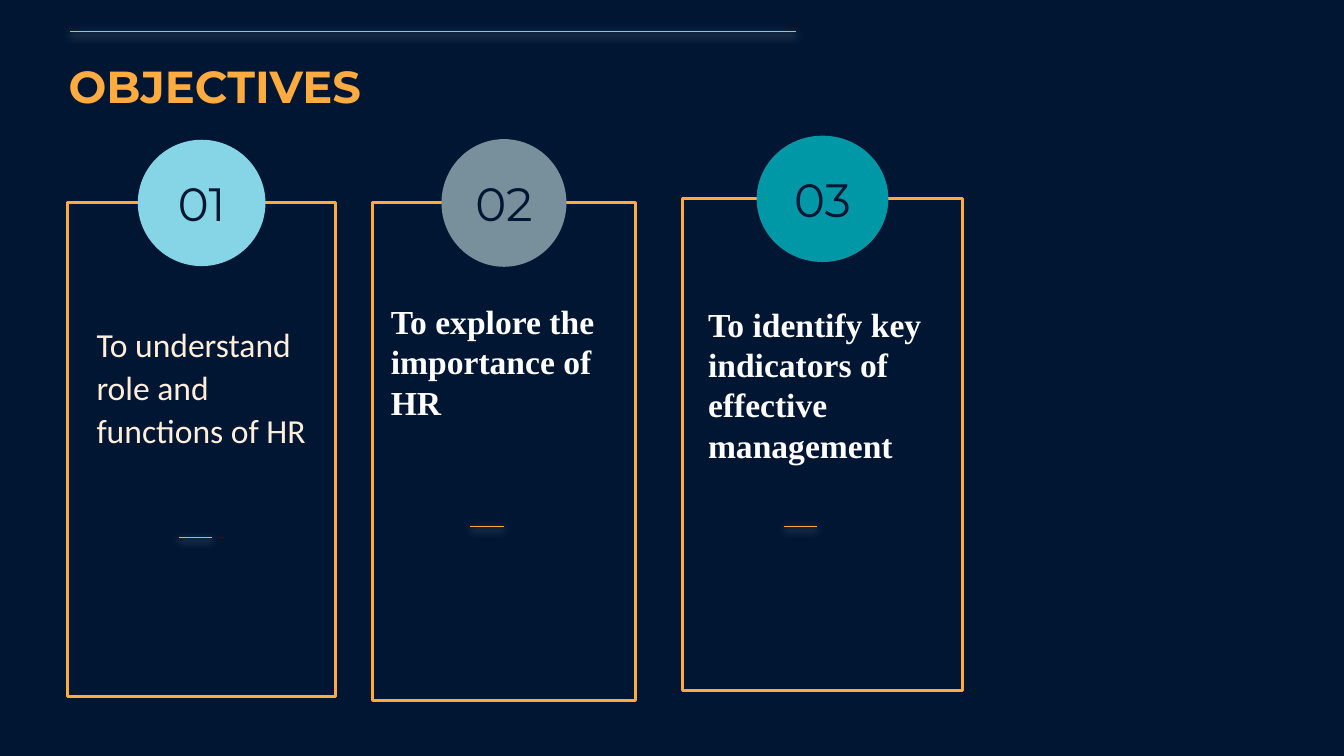
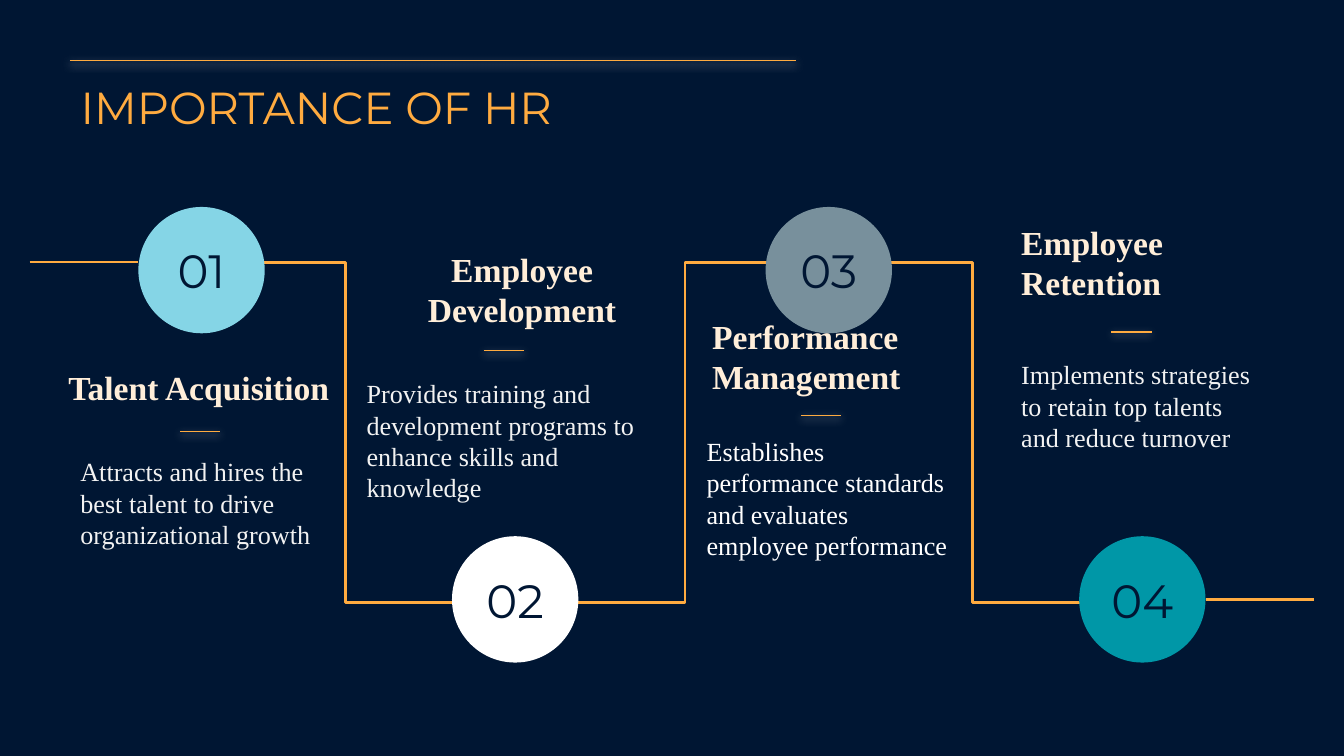
from dataclasses import dataclass
from itertools import pairwise
from typing import NamedTuple

from lxml import etree
from pptx import Presentation, util as u
from pptx.dml.color import RGBColor
from pptx.enum import shapes, text
from pptx.oxml.ns import qn

# The grid has 100 columns and 56.25 rows, all cells square.
CELL = u.Inches(0.1)
COLUMNS, ROWS = 100, 56.25


@dataclass(frozen=True)
class Theme:
    navy: str = "001633"
    orange: str = "FFAB40"
    sky: str = "85D5E6"
    slate: str = "78909C"
    teal: str = "0097A7"
    white: str = "FFFFFF"
    cream: str = "FFEED9"
    pale: str = "F2F2F2"
    display: str = "Montserrat"
    serif: str = "Times New Roman"
    sans: str = "Calibri"
    title_size: float = 24
    number_size: float = 25
    heading_size: float = 18
    body_size: float = 14
    hairline: float = 0.75
    tail_line: float = 1.5
    frame_line: float = 1.6


THEME = Theme()


class Area(NamedTuple):
    """A rectangle in grid cells."""
    left: float
    top: float
    width: float
    height: float


class Style(NamedTuple):
    font: str
    size: float
    color: str
    bold: bool = False


class Rule(NamedTuple):
    """A horizontal line in grid cells."""
    left: float
    top: float
    width: float


class Objective(NamedTuple):
    frame: Area
    disc_size: tuple[float, float]
    disc_color: str
    wording: str
    wording_area: Area
    style: Style
    rule: Rule
    line_spacing: float = 1.0


class Stage(NamedTuple):
    disc_color: str
    heading: str
    heading_area: Area
    detail: str
    detail_area: Area
    rule: Rule
    detail_color: str = THEME.pale
    alignment: text.PP_ALIGN = text.PP_ALIGN.LEFT


NUMBER = Style(THEME.display, THEME.number_size, THEME.navy)
HEADING = Style(THEME.serif, THEME.heading_size, THEME.cream, True)
AIM = HEADING._replace(color=THEME.white)
FIRST_AIM = Style(THEME.sans, THEME.heading_size, THEME.cream)

OBJECTIVES = [
    Objective(Area(5, 15.1, 20, 36.7), (9.5, 9.4), THEME.sky,
              "To understand role and functions of HR",
              Area(6.2, 21.2, 20, 13.3), FIRST_AIM, Rule(13.3, 40, 2.5), 1.07),
    Objective(Area(27.7, 15.1, 19.6, 37), (9.3, 9.5), THEME.slate,
              "To explore the importance of HR",
              Area(28.1, 21.4, 20.1, 11), AIM, Rule(35, 39.2, 2.5)),
    Objective(Area(50.8, 14.8, 20.8, 36.6), (9.8, 9.4), THEME.teal,
              "To identify key indicators of effective management",
              Area(51.7, 26.1, 22, 9.5), AIM, Rule(58.3, 39.2, 2.5)),
]

STAGES = [
    Stage(THEME.sky, "Talent Acquisition", Area(4.1, 24.7, 21.5, 6.6),
          "Attracts and hires the best talent to drive organizational growth",
          Area(5, 32.9, 20, 21.6), Rule(13.4, 32.1, 3)),
    Stage(THEME.white, "Employee Development", Area(27, 17.9, 23.7, 7.6),
          "Provides training and development programs to enhance skills and knowledge",
          Area(26.3, 27.1, 23.7, 12.8), Rule(36, 26.1, 3),
          alignment=text.PP_ALIGN.CENTER),
    Stage(THEME.slate, "Performance Management", Area(52, 23.9, 20, 6.6),
          "Establishes performance standards and evaluates employee performance",
          Area(51.6, 31.4, 20, 20.7), Rule(59.6, 30.9, 3), THEME.white),
    Stage(THEME.teal, "Employee Retention", Area(75, 18.6, 20, 4.9),
          "Implements strategies to retain top talents and reduce turnover",
          Area(75, 25.7, 20, 13.5), Rule(82.7, 24.7, 3)),
]

FIRST_CENTRE, LAST_CENTRE = 15, 85
STAGE_PITCH = (LAST_CENTRE - FIRST_CENTRE) / (len(STAGES) - 1)
STAGE_DISC = 9.4
DISC_LEVELS = (20.1, 44.6)
TRACK_LEVELS = (19.5, 44.8)
ELBOW_OFFSET = 10.7
TRACK_OVERLAP = 0.35
TAIL_MARGIN = 2.2


def cells(*counts: float) -> list[int]:
    return [round(count * CELL) for count in counts]


def rgb(color: str) -> RGBColor:
    return RGBColor.from_string(color)


def write(shape, wording: str, style: Style, alignment=text.PP_ALIGN.LEFT,
          anchor=text.MSO_ANCHOR.TOP, wrap: bool = True) -> None:
    frame = shape.text_frame
    frame.text = wording
    frame.word_wrap = wrap
    frame.auto_size = text.MSO_AUTO_SIZE.NONE
    frame.vertical_anchor = anchor
    frame.margin_left = frame.margin_right = CELL
    frame.margin_top = frame.margin_bottom = CELL
    paragraph = frame.paragraphs[0]
    paragraph.alignment = alignment
    font = paragraph.runs[0].font
    font.name, font.size, font.bold = style.font, u.Pt(style.size), style.bold
    font.color.rgb = rgb(style.color)


def add_words(slide, area: Area, wording: str, style: Style, **layout):
    box = slide.shapes.add_textbox(*cells(*area))
    write(box, wording, style, **layout)
    return box


def outline(shape) -> None:
    """Leave only the orange outline of a shape."""
    shape.shadow.inherit = False
    shape.fill.background()
    shape.line.color.rgb = rgb(THEME.orange)
    shape.line.width = u.Pt(THEME.frame_line)


def add_line(slide, rule: Rule, weight: float = THEME.hairline, glow: bool = True) -> None:
    left, top, right = cells(rule.left, rule.top, rule.left + rule.width)
    line = slide.shapes.add_connector(shapes.MSO_CONNECTOR.STRAIGHT, left, top, right, top)
    line.line.color.rgb = rgb(THEME.orange)
    line.line.width = u.Pt(weight)
    effects = etree.SubElement(line._element.spPr, qn("a:effectLst"))
    if glow:
        shadow = etree.SubElement(effects, qn("a:outerShdw"), blurRad=str(u.Pt(4.5)),
                                  dist=str(u.Pt(1.5)), dir="5400000",
                                  algn="bl", rotWithShape="0")
        tint = etree.SubElement(shadow, qn("a:srgbClr"), val=THEME.white)
        etree.SubElement(tint, qn("a:alpha"), val="50000")


def add_disc(slide, number: int, centre: tuple[float, float],
             size: tuple[float, float], color: str) -> None:
    (x, y), (width, height) = centre, size
    disc = slide.shapes.add_shape(shapes.MSO_SHAPE.OVAL,
                                  *cells(x - width / 2, y - height / 2, width, height))
    disc.shadow.inherit = False
    disc.fill.solid()
    disc.fill.fore_color.rgb = rgb(color)
    disc.line.fill.background()
    write(disc, f"{number:02}", NUMBER, text.PP_ALIGN.CENTER,
          text.MSO_ANCHOR.MIDDLE, wrap=False)


def add_titled_slide(deck, title: str, area: Area, rule_top: float, bold: bool):
    slide = deck.slides.add_slide(deck.slide_layouts.get_by_name("Title Only"))
    heading = slide.shapes.title
    heading.left, heading.top, heading.width, heading.height = cells(*area)
    write(heading, title, Style(THEME.display, THEME.title_size, THEME.orange, bold))
    add_line(slide, Rule(5.2, rule_top, 54))
    return slide


def build_objectives(deck) -> None:
    slide = add_titled_slide(deck, "OBJECTIVES", Area(4.1, 3.4, 88.4, 7.4), 2.35, True)
    for number, aim in enumerate(OBJECTIVES, 1):
        frame = aim.frame
        outline(slide.shapes.add_shape(shapes.MSO_SHAPE.RECTANGLE, *cells(*frame)))
        add_disc(slide, number, (frame.left + frame.width / 2, frame.top),
                 aim.disc_size, aim.disc_color)
        words = add_words(slide, aim.wording_area, aim.wording, aim.style,
                          anchor=text.MSO_ANCHOR.BOTTOM)
        words.text_frame.paragraphs[0].line_spacing = aim.line_spacing
        add_line(slide, aim.rule)


def add_track(slide, centres: list[float]) -> None:
    """Join the discs with stepped lines that bend beside each upper disc."""
    reach = STAGE_DISC / 2 - TRACK_OVERLAP
    upper, lower = TRACK_LEVELS
    for index, (before, after) in enumerate(pairwise(centres)):
        falling = index % 2 == 0
        start, end = (before, after) if falling else (after, before)
        side = 1 if falling else -1
        elbow = start + side * ELBOW_OFFSET
        corners = [(start + side * reach, upper), (elbow, upper),
                   (elbow, lower), (end - side * reach, lower)]
        points = [tuple(cells(*corner)) for corner in corners]
        step = slide.shapes.build_freeform(*points[0])
        step.add_line_segments(points[1:], close=False)
        outline(step.convert_to_shape())
    tail = FIRST_CENTRE - STAGE_DISC / 2 - TAIL_MARGIN
    for left, top in ((TAIL_MARGIN, upper),
                      (COLUMNS - TAIL_MARGIN - tail, DISC_LEVELS[1])):
        add_line(slide, Rule(left, top, tail), THEME.tail_line, glow=False)


def build_importance(deck) -> None:
    slide = add_titled_slide(deck, "IMPORTANCE OF HR", Area(5, 4.9, 87.5, 5.2), 4.5, False)
    centres = [FIRST_CENTRE + STAGE_PITCH * index for index in range(len(STAGES))]
    add_track(slide, centres)
    for index, (stage, centre) in enumerate(zip(STAGES, centres)):
        add_disc(slide, index + 1, (centre, DISC_LEVELS[index % 2]),
                 (STAGE_DISC, STAGE_DISC), stage.disc_color)
        add_words(slide, stage.heading_area, stage.heading, HEADING,
                  alignment=stage.alignment, anchor=text.MSO_ANCHOR.BOTTOM)
        add_words(slide, stage.detail_area, stage.detail,
                  Style(THEME.serif, THEME.body_size, stage.detail_color))
        add_line(slide, stage.rule)


def main() -> None:
    deck = Presentation()
    deck.slide_width, deck.slide_height = cells(COLUMNS, ROWS)
    backdrop = deck.slide_master.background.fill
    backdrop.solid()
    backdrop.fore_color.rgb = rgb(THEME.navy)
    build_objectives(deck)
    build_importance(deck)
    deck.save("out.pptx")


if __name__ == "__main__":
    main()
